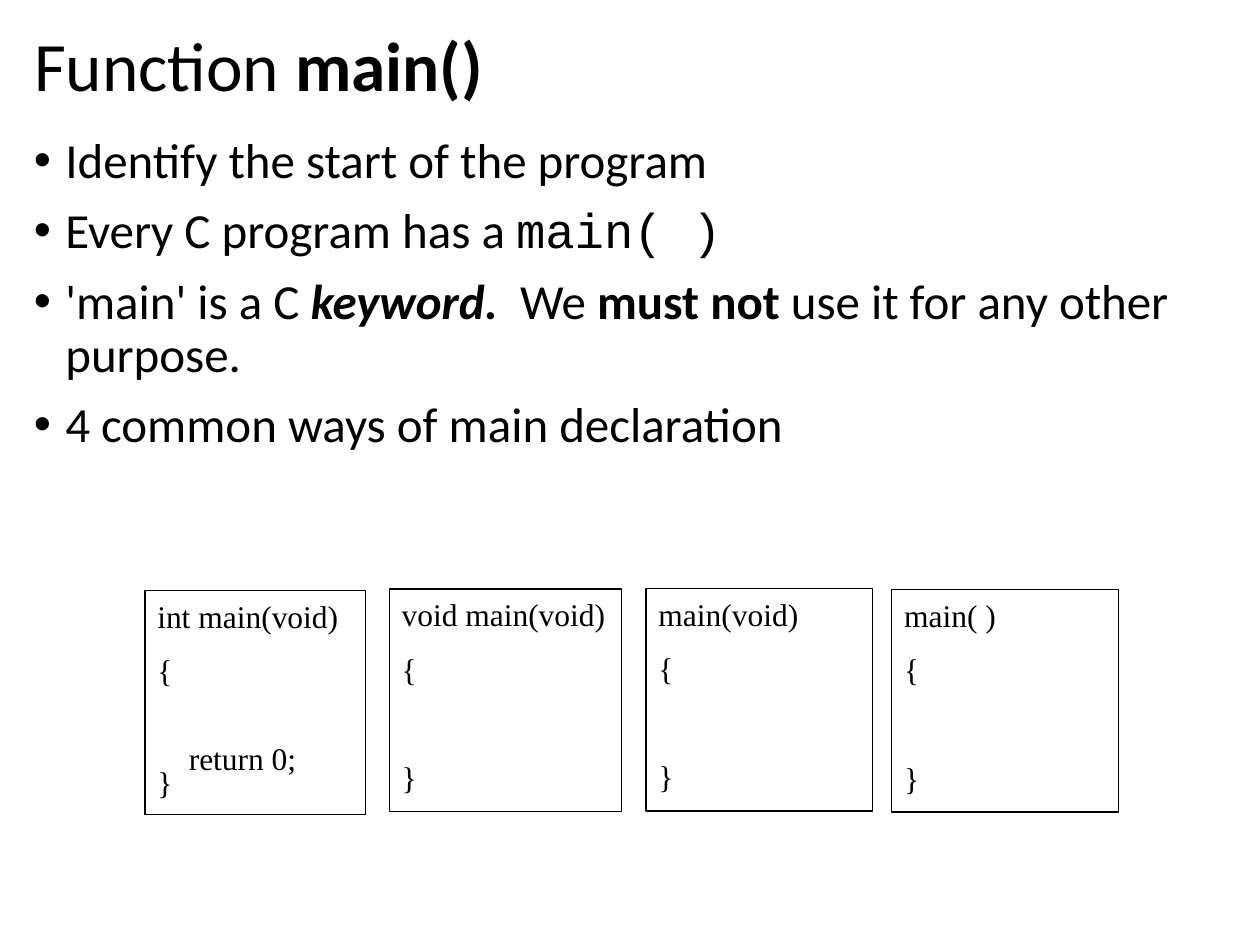
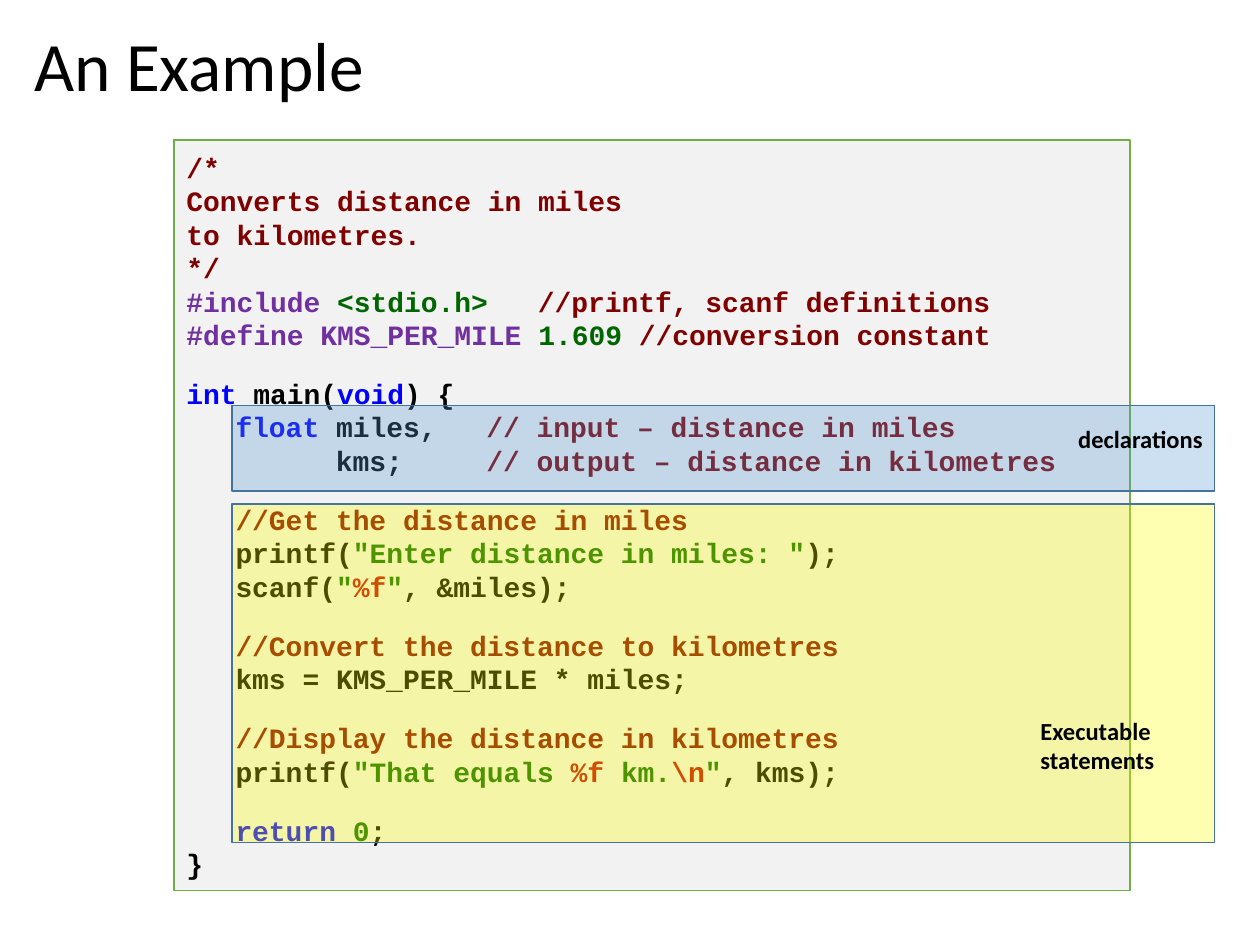
from dataclasses import dataclass
from typing import Optional

from lxml import etree
from pptx import Presentation
from pptx.dml.color import RGBColor
from pptx.enum.shapes import MSO_SHAPE
from pptx.enum.text import MSO_ANCHOR, PP_ALIGN
from pptx.oxml.ns import qn
from pptx.util import Pt

RECTANGLE = MSO_SHAPE.RECTANGLE
TOP, MIDDLE = MSO_ANCHOR.TOP, MSO_ANCHOR.MIDDLE
LEFT = PP_ALIGN.LEFT

BLACK = RGBColor(0x00, 0x00, 0x00)
COMMENT = RGBColor(0x80, 0x00, 0x00)
DIRECTIVE = RGBColor(0x70, 0x30, 0xA0)
LITERAL = RGBColor(0x00, 0x66, 0x00)
KEYWORD = RGBColor(0x00, 0x00, 0xFF)
FORMAT = RGBColor(0xC0, 0x00, 0x00)
PANEL_FILL = RGBColor(0xF2, 0xF2, 0xF2)
PANEL_LINE = RGBColor(0x70, 0xAD, 0x47)
BLUE = RGBColor(0x5B, 0x9B, 0xD5)
YELLOW = RGBColor(0xFF, 0xFF, 0x00)
OVERLAY_LINE = RGBColor(0x43, 0x73, 0x9E)

SANS, MONO, SERIF = "Calibri", "Courier New", "Times New Roman"
TITLE_ONLY = 5
MARGIN_LEFT, CONTENT_WIDTH = 12.24, 692.64
CODE_LINE = 19.14
CODE_GAP = 14.57
HEADER_STOPS = (200.9,)
BODY_STOPS = (28.1, 85.5, 171.5)


@dataclass(frozen=True)
class Box:
    left: float
    top: float
    width: float
    height: float


@dataclass(frozen=True)
class Span:
    text: str
    color: Optional[RGBColor] = None
    bold: Optional[bool] = None
    italic: Optional[bool] = None
    font: Optional[str] = None


@dataclass(frozen=True)
class Line:
    spans: tuple[Span, ...]
    before: float = 0
    spacing: Optional[float] = None
    indent: float = 0
    stops: tuple[float, ...] = ()
    bullet: bool = False


@dataclass(frozen=True)
class Style:
    font: str
    size: float
    bold: bool = False


@dataclass(frozen=True)
class Declaration:
    box: Box
    header: str
    returns: bool = False


@dataclass(frozen=True)
class Overlay:
    box: Box
    fill: RGBColor
    label: str
    label_box: Box


TITLE = Style(SANS, 39.6)
BODY = Style(SANS, 28)
DECLARATION = Style(SERIF, 18)
CODE = Style(MONO, 16, True)
LABEL = Style(SANS, 14, True)


def bullet_line(*spans: Span) -> Line:
    return Line(spans, before=10, spacing=0.9, indent=18, bullet=True)


def code_line(*spans: Span, gap: bool = False, stops: tuple[float, ...] = BODY_STOPS) -> Line:
    return Line(spans, before=CODE_GAP if gap else 0, stops=stops)


TITLES = (
    (Span("Function "), Span("main()", bold=True)),
    (Span("An Example"),),
)
BULLETS = (
    bullet_line(Span("Identify the start of the program")),
    bullet_line(Span("Every C program has a "), Span("main( )", font=MONO)),
    bullet_line(
        Span("'main' is a C "),
        Span("keyword.  ", bold=True, italic=True),
        Span("We "),
        Span("must not ", bold=True),
        Span("use it for any other purpose."),
    ),
    bullet_line(Span("4 common ways of main declaration")),
)
DECLARATIONS = (
    Declaration(Box(82.8, 337.4, 126, 128), "int main(void)", True),
    Declaration(Box(222.4, 336.6, 132.6, 127.2), "void main(void)"),
    Declaration(Box(369.2, 336.2, 129.6, 127.2), "main(void)"),
    Declaration(Box(509.6, 336.8, 129.6, 127.2), "main( )"),
)
PROGRAM = (
    code_line(Span("/*", COMMENT)),
    code_line(Span("Converts distance in miles", COMMENT)),
    code_line(Span("to kilometres.", COMMENT)),
    code_line(Span("*/", COMMENT)),
    code_line(
        Span("#include ", DIRECTIVE),
        Span("<stdio.h>\t", LITERAL),
        Span("//printf, scanf definitions", COMMENT),
        stops=HEADER_STOPS,
    ),
    code_line(
        Span("#define KMS_PER_MILE ", DIRECTIVE),
        Span("1.609 ", LITERAL),
        Span("//conversion constant", COMMENT),
    ),
    code_line(
        Span("int", KEYWORD), Span(" main("), Span("void", KEYWORD), Span(") {"), gap=True
    ),
    code_line(
        Span("\tfloat", KEYWORD),
        Span(" miles,\t"),
        Span("// input – distance in miles", COMMENT),
    ),
    code_line(Span("\t\tkms;\t"), Span("// output – distance in kilometres", COMMENT)),
    code_line(Span("\t//Get the distance in miles", COMMENT), gap=True),
    code_line(
        Span("\tprintf("), Span('"Enter distance in miles: "', LITERAL), Span(");")
    ),
    code_line(
        Span("\tscanf("),
        Span('"', LITERAL),
        Span("%f", FORMAT),
        Span('"', LITERAL),
        Span(", &miles);"),
    ),
    code_line(Span("\t//Convert the distance to kilometres", COMMENT), gap=True),
    code_line(Span("\tkms = KMS_PER_MILE * miles;")),
    code_line(Span("\t//Display the distance in kilometres", COMMENT), gap=True),
    code_line(
        Span("\tprintf("),
        Span('"That equals ', LITERAL),
        Span("%f ", FORMAT),
        Span("km.", LITERAL),
        Span("\\n", FORMAT),
        Span('"', LITERAL),
        Span(", kms);"),
    ),
    code_line(Span("\treturn ", KEYWORD), Span("0", LITERAL), Span(";"), gap=True),
    code_line(Span("}")),
)
OVERLAYS = (
    Overlay(Box(132.4, 231.8, 561.6, 49), BLUE, "declarations", Box(609, 239, 106.6, 24.5)),
    Overlay(
        Box(132.4, 288, 561.6, 193.4), YELLOW, "Executable statements", Box(587.4, 405.4, 106.6, 41)
    ),
)


def place(shape, box: Box) -> None:
    shape.left, shape.top = Pt(box.left), Pt(box.top)
    shape.width, shape.height = Pt(box.width), Pt(box.height)


def write_line(paragraph, line: Line, style: Style) -> None:
    paragraph.alignment = LEFT
    paragraph.space_before = Pt(line.before)
    if line.spacing is not None:
        paragraph.line_spacing = line.spacing
    elif style is CODE:
        paragraph.line_spacing = Pt(CODE_LINE)
    properties = paragraph._p.get_or_add_pPr()
    if line.indent:
        properties.set("marL", str(Pt(line.indent)))
    if line.bullet:
        properties.set("indent", str(-Pt(line.indent)))
        etree.SubElement(properties, qn("a:buFont"), typeface="Arial")
        etree.SubElement(properties, qn("a:buChar"), char="•")
    if line.stops:
        tabs = etree.SubElement(properties, qn("a:tabLst"))
        for stop in line.stops:
            etree.SubElement(tabs, qn("a:tab"), pos=str(Pt(stop)), algn="l")
    paragraph.font.name = style.font
    paragraph.font.size = Pt(style.size)
    paragraph.font.bold = style.bold
    paragraph.font.color.rgb = BLACK
    for span in line.spans:
        run = paragraph.add_run()
        run.text = span.text
        if span.color is not None:
            run.font.color.rgb = span.color
        if span.bold is not None:
            run.font.bold = span.bold
        if span.italic is not None:
            run.font.italic = span.italic
        if span.font is not None:
            run.font.name = span.font


def write_text(shape, lines: tuple[Line, ...], style: Style, anchor=TOP) -> None:
    frame = shape.text_frame
    frame.word_wrap = True
    frame.vertical_anchor = anchor
    for index, line in enumerate(lines):
        paragraph = frame.add_paragraph() if index else frame.paragraphs[0]
        write_line(paragraph, line, style)


def add_text(slide, box: Box, lines: tuple[Line, ...], style: Style) -> None:
    shape = slide.shapes.add_textbox(0, 0, 0, 0)
    place(shape, box)
    write_text(shape, lines, style)


def add_rectangle(
    slide, box: Box, line_color: RGBColor, line_width: float,
    fill: Optional[RGBColor] = None, opacity: int = 100,
):
    shape = slide.shapes.add_shape(RECTANGLE, 0, 0, 0, 0)
    place(shape, box)
    shape.shadow.inherit = False
    shape.line.color.rgb = line_color
    shape.line.width = Pt(line_width)
    if fill is None:
        shape.fill.background()
        return shape
    shape.fill.solid()
    shape.fill.fore_color.rgb = fill
    if opacity < 100:
        color = shape._element.spPr.find(qn("a:solidFill")).find(qn("a:srgbClr"))
        etree.SubElement(color, qn("a:alpha"), val=str(opacity * 1000))
    return shape


def add_titled_slide(presentation, spans: tuple[Span, ...]):
    slide = presentation.slides.add_slide(presentation.slide_layouts[TITLE_ONLY])
    title = slide.shapes.title
    place(title, Box(MARGIN_LEFT, 13, CONTENT_WIDTH, 53.2))
    write_text(title, (Line(spans, spacing=0.9),), TITLE, MIDDLE)
    return slide


def add_declaration(slide, declaration: Declaration) -> None:
    lines = [Line((Span(declaration.header),)), Line((Span("{"),), before=9.6)]
    if declaration.returns:
        lines.append(Line((Span("return 0;"),), before=43.3, spacing=0.2, indent=18))
        lines.append(Line((Span("}"),), before=9.1, spacing=0.2))
    else:
        lines.append(Line((Span("}"),), before=40.3))
    shape = add_rectangle(slide, declaration.box, BLACK, 0.75)
    write_text(shape, tuple(lines), DECLARATION)


def add_overlay(slide, overlay: Overlay) -> None:
    add_rectangle(slide, overlay.box, OVERLAY_LINE, 1, overlay.fill, 30)
    add_text(slide, overlay.label_box, (Line((Span(overlay.label),)),), LABEL)


def main() -> None:
    presentation = Presentation()
    presentation.slide_width, presentation.slide_height = Pt(720), Pt(540)

    function_slide = add_titled_slide(presentation, TITLES[0])
    add_text(function_slide, Box(MARGIN_LEFT, 74.2, CONTENT_WIDTH, 412.6), BULLETS, BODY)
    for declaration in DECLARATIONS:
        add_declaration(function_slide, declaration)

    example_slide = add_titled_slide(presentation, TITLES[1])
    panel = add_rectangle(example_slide, Box(99.4, 80, 546.5, 429), PANEL_LINE, 1, PANEL_FILL)
    write_text(panel, PROGRAM, CODE, MIDDLE)
    for overlay in OVERLAYS:
        add_overlay(example_slide, overlay)

    presentation.save("out.pptx")


main()
